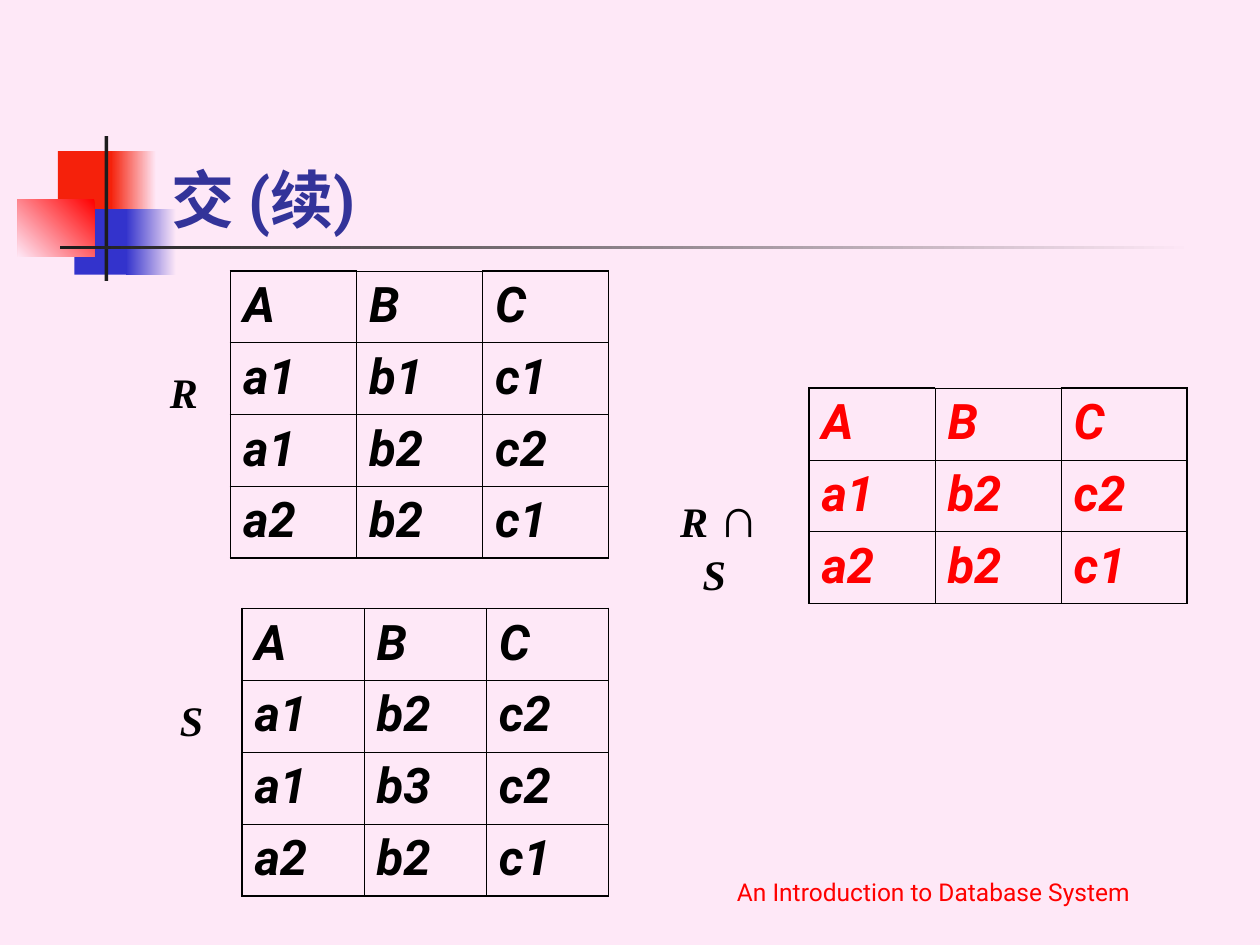
from lxml import etree
from pptx import Presentation
from pptx.dml.color import RGBColor
from pptx.enum.shapes import MSO_SHAPE
from pptx.enum.text import MSO_ANCHOR, PP_ALIGN
from pptx.oxml.ns import qn
from pptx.util import Inches, Pt

RECTANGLE = MSO_SHAPE.RECTANGLE
BOTTOM, MIDDLE = MSO_ANCHOR.BOTTOM, MSO_ANCHOR.MIDDLE
LEFT, CENTER = PP_ALIGN.LEFT, PP_ALIGN.CENTER

PINK = RGBColor(0xFE, 0xE8, 0xF7)
RED = RGBColor(0xFF, 0x00, 0x00)
VERMILION = RGBColor(0xF5, 0x21, 0x0B)
BLUE = RGBColor(0x33, 0x33, 0xCC)
NAVY = RGBColor(0x33, 0x33, 0x99)
CHARCOAL = RGBColor(0x1C, 0x1C, 0x1C)
BLACK = RGBColor(0x00, 0x00, 0x00)

SANS, SERIF = "Roboto", "Times New Roman"
ROW_HEIGHT = 0.57
INNER_LINE, OUTER_LINE = Pt(0.45), Pt(1.08)

ORNAMENT = [
    ((0.46, 1.2, 0.48, 0.52), [VERMILION], 0),
    ((0.88, 1.2, 0.36, 0.52), [PINK, VERMILION], 180),
    ((0.59, 1.66, 0.46, 0.52), [BLUE], 0),
    ((1, 1.66, 0.4, 0.52), [PINK, BLUE], 180),
    ((0.14, 1.58, 0.61, 0.46), [RED, PINK], 225),
    ((0.83, 1.08, 0.03, 1.15), [CHARCOAL], 0),
    ((0.48, 1.95, 9, 0.03), [PINK, CHARCOAL], 180),
]

RELATIONS = [
    (1.83, 2.15, 1, BLACK, ["A B C", "a1 b1 c1", "a1 b2 c2", "a2 b2 c1"]),
    (6.42, 3.08, 1, RED, ["A B C", "a1 b2 c2", "a2 b2 c1"]),
    (1.92, 4.83, 0.97, BLACK, ["A B C", "a1 b2 c2", "a1 b3 c2", "a2 b2 c1"]),
]

LABELS = [
    ((1.25, 2.65, 0.33, 0.92), [("R", 24)]),
    ((1.33, 5.25, 0.33, 0.92), [("S", 24)]),
    ((5.25, 3.83, 0.92, 0.92), [("R ", 24), ("∩", 32), (" S ", 24)]),
]


def set_font(font, name, size, color, bold=False, italic=False):
    """Apply the typeface, size, colour and weight to a font."""
    font.name, font.size = name, Pt(size)
    font.color.rgb = color
    font.bold, font.italic = bold, italic


def add_bar(slide, place, colors, angle):
    """Draw one borderless rectangle, plain or with a two-colour gradient."""
    bar = slide.shapes.add_shape(RECTANGLE, *map(Inches, place))
    bar.shadow.inherit = False
    bar.line.fill.background()
    if len(colors) == 1:
        bar.fill.solid()
        bar.fill.fore_color.rgb = colors[0]
        return
    bar.fill.gradient()
    bar.fill.gradient_angle = angle
    for stop, color in zip(bar.fill.gradient_stops, colors):
        stop.color.rgb = color


def add_text(slide, place, anchor, align, wrap=True):
    """Add a text box and return its first paragraph."""
    frame = slide.shapes.add_textbox(*map(Inches, place)).text_frame
    frame.word_wrap = wrap
    frame.vertical_anchor = anchor
    paragraph = frame.paragraphs[0]
    paragraph.alignment = align
    return paragraph


def add_label(slide, place, parts):
    """Add a relation label whose operators are larger and upright."""
    paragraph = add_text(slide, place, MIDDLE, CENTER, wrap=False)
    for text, size in parts:
        run = paragraph.add_run()
        run.text = text
        set_font(run.font, SERIF, size, BLACK, bold=True, italic=text != "∩")


def set_borders(cell, thick_sides):
    """Rule all four sides of a cell, heavier on the given sides."""
    properties = cell._tc.get_or_add_tcPr()
    for index, side in enumerate("LRTB"):
        width = OUTER_LINE if side in thick_sides else INNER_LINE
        line = etree.Element(qn(f"a:ln{side}"), w=str(int(width)))
        fill = etree.SubElement(line, qn("a:solidFill"))
        etree.SubElement(fill, qn("a:srgbClr"), val=str(BLACK))
        properties.insert(index, line)


def add_relation(slide, left, top, column_width, color, tuples):
    """Add a relation as a ruled table with an unfilled background."""
    rows = [line.split() for line in tuples]
    last_row, last_column = len(rows) - 1, len(rows[0]) - 1
    size = column_width * len(rows[0]), ROW_HEIGHT * len(rows)
    table = slide.shapes.add_table(
        len(rows), len(rows[0]), *map(Inches, (left, top, *size))
    ).table
    table.first_row = table.horz_banding = False
    for column in table.columns:
        column.width = Inches(column_width)
    for r, values in enumerate(rows):
        table.rows[r].height = Inches(ROW_HEIGHT)
        for c, value in enumerate(values):
            cell = table.cell(r, c)
            cell.text = value
            cell.fill.background()
            set_font(cell.text_frame.paragraphs[0].font, SANS, 28, color, True, True)
            edges = {
                "L": c == 0,
                "R": c == last_column,
                "T": r == 0 and c in (0, last_column),
                "B": r == last_row,
            }
            set_borders(cell, [side for side, outer in edges.items() if outer])


def main():
    """Build the slide on the intersection of two relations."""
    deck = Presentation()
    deck.slide_width, deck.slide_height = Inches(10), Inches(7.5)
    slide = deck.slides.add_slide(deck.slide_layouts[6])
    slide.background.fill.solid()
    slide.background.fill.fore_color.rgb = PINK

    for place, colors, angle in ORNAMENT:
        add_bar(slide, place, colors, angle)

    title = add_text(slide, (1.26, 0.67, 8.52, 1.25), BOTTOM, LEFT)
    title.text = "交 (续)"
    set_font(title.font, SANS, 36, NAVY, bold=True)

    for relation in RELATIONS:
        add_relation(slide, *relation)
    for place, parts in LABELS:
        add_label(slide, place, parts)

    footer = add_text(slide, (5.08, 6.74, 4.66, 0.5), BOTTOM, CENTER)
    footer.text = "An Introduction to Database System"
    set_font(footer.font, SANS, 14, RED)

    deck.save("out.pptx")


if __name__ == "__main__":
    main()
